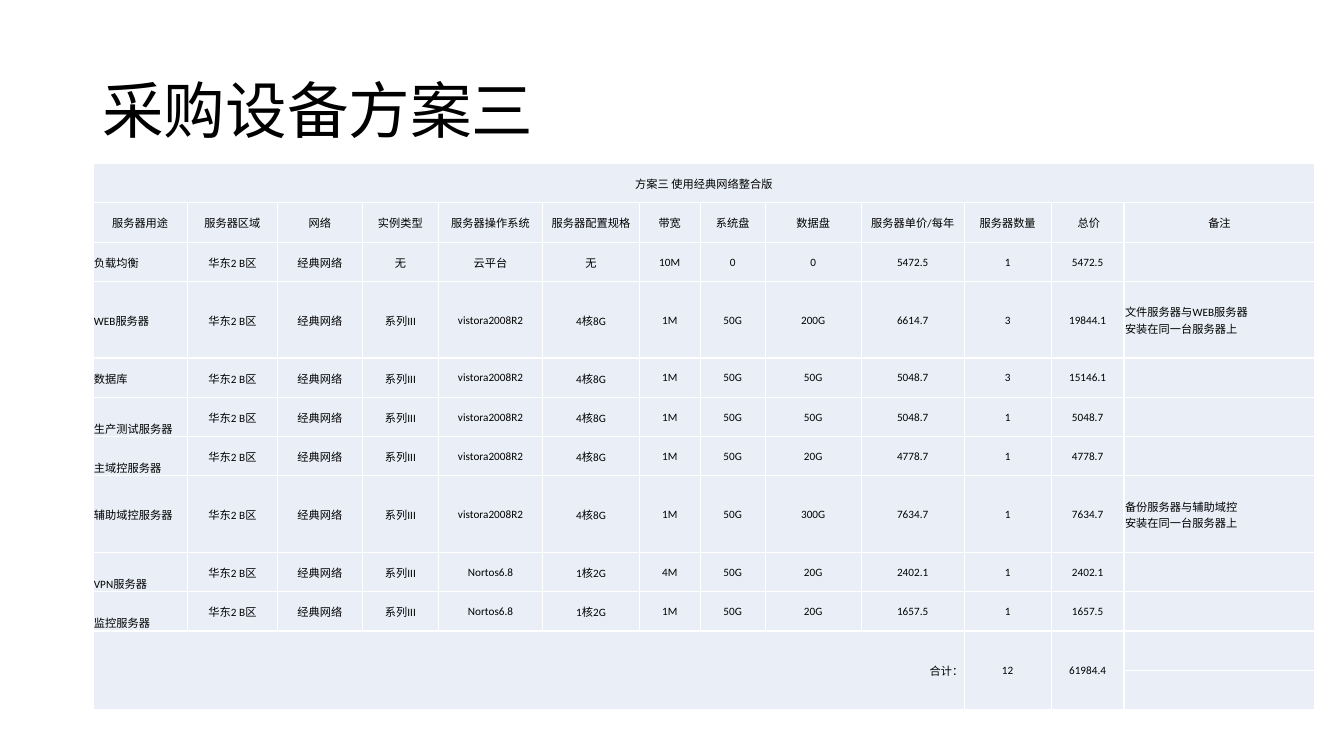
import pptx
import pptx.dml.color
import pptx.enum.text
import pptx.oxml
import pptx.oxml.ns
import pptx.util

Pt = pptx.util.Pt
ALIGN = pptx.enum.text.PP_ALIGN
ANCHOR = pptx.enum.text.MSO_ANCHOR
BLACK = pptx.dml.color.RGBColor(0x00, 0x00, 0x00)
WHITE = pptx.dml.color.RGBColor(0xFF, 0xFF, 0xFF)
PALE_BLUE = pptx.dml.color.RGBColor(0xEA, 0xEF, 0xF7)

COLUMN_WIDTHS = [67.5, 64.3, 60.7, 54.3, 74.6, 68.9, 43.6,
                 46.4, 68.6, 73.6, 62.1, 52.1, 136.4]
ROW_HEIGHT, NOTE_ROW_HEIGHT = 28.1, 54.6

HEADINGS = ["服务器用途", "服务器区域", "网络", "实例类型", "服务器操作系统",
            "服务器配置规格", "带宽", "系统盘", "数据盘", "服务器单价/每年",
            "服务器数量", " 总价", "备注"]
WEB_NOTE = "文件服务器与WEB服务器\n安装在同一台服务器上"
BACKUP_NOTE = "备份服务器与辅助域控\n安装在同一台服务器上"
DESKTOP_OS, LINUX_OS = "vistora2008R2", "Nortos6.8"

# Purpose, instance, system, configuration, bandwidth, system disk, data disk,
# yearly price, quantity, note
SERVERS = [
    ("负载均衡", "无", "云平台", "无", "10M", "0", "0", 5472.5, 1, ""),
    ("WEB服务器", "系列III", DESKTOP_OS, "4核8G", "1M", "50G", "200G", 6614.7, 3, WEB_NOTE),
    ("数据库", "系列III", DESKTOP_OS, "4核8G", "1M", "50G", "50G", 5048.7, 3, ""),
    ("生产测试服务器", "系列III", DESKTOP_OS, "4核8G", "1M", "50G", "50G", 5048.7, 1, ""),
    ("主域控服务器", "系列III", DESKTOP_OS, "4核8G", "1M", "50G", "20G", 4778.7, 1, ""),
    ("辅助域控服务器", "系列III", DESKTOP_OS, "4核8G", "1M", "50G", "300G", 7634.7, 1, BACKUP_NOTE),
    ("VPN服务器", "系列III", LINUX_OS, "1核2G", "4M", "50G", "20G", 2402.1, 1, ""),
    ("监控服务器", "系列III", LINUX_OS, "1核2G", "1M", "50G", "20G", 1657.5, 1, ""),
]
BOTTOM_ALIGNED = {"生产测试服务器", "主域控服务器", "VPN服务器", "监控服务器"}


def write(paragraph, text, size=8, align=ALIGN.CENTER, spacing=None):
    paragraph.text = text
    paragraph.alignment = align
    paragraph.line_spacing = spacing
    for run in paragraph.runs:
        run.font.name = "Calibri"
        run.font.size = Pt(size)
        run.font.bold = False
        run.font.color.rgb = BLACK


def style_cell(cell):
    """Give a cell its fill, margins and white borders."""
    cell.margin_left = cell.margin_right = cell.margin_top = Pt(0.7)
    cell.margin_bottom = Pt(0)
    cell.vertical_anchor = ANCHOR.MIDDLE
    properties = cell._tc.get_or_add_tcPr()
    for side in ("lnL", "lnR", "lnT", "lnB"):
        properties.append(pptx.oxml.parse_xml(
            f'<a:{side} {pptx.oxml.ns.nsdecls("a")} w="{Pt(1)}"><a:solidFill>'
            f'<a:srgbClr val="{WHITE}"/></a:solidFill></a:{side}>'))
    cell.fill.solid()
    cell.fill.fore_color.rgb = PALE_BLUE


presentation = pptx.Presentation()
presentation.slide_width = Pt(960)
presentation.slide_height = Pt(540)
slide = presentation.slides.add_slide(presentation.slide_layouts[6])

title = slide.shapes.add_textbox(Pt(66), Pt(28.8), Pt(828), Pt(104.4)).text_frame
title.word_wrap = True
title.vertical_anchor = ANCHOR.MIDDLE
write(title.paragraphs[0], "采购设备方案三", size=44, align=ALIGN.LEFT, spacing=0.9)

rows = [["方案三 使用经典网络整合版"] + [""] * 12, HEADINGS]
for purpose, instance, system, config, bandwidth, disk, data, price, count, note in SERVERS:
    rows.append([purpose, "华东2 B区", "经典网络", instance, system, config, bandwidth,
                 disk, data, str(price), str(count), f"{price * count:.1f}", note])
total_count = sum(server[8] for server in SERVERS)
total_price = sum(server[7] * server[8] for server in SERVERS)
rows.append(["合计："] + [""] * 9 + [str(total_count), f"{total_price:.1f}", ""])
rows.append([""] * 13)

heights = [NOTE_ROW_HEIGHT if "\n" in row[-1] else ROW_HEIGHT for row in rows]
plan = slide.shapes.add_table(len(rows), len(HEADINGS), Pt(66.4), Pt(116.8),
                              Pt(sum(COLUMN_WIDTHS)), Pt(sum(heights))).table
plan.first_row = False
plan.horz_banding = False
for column, width in zip(plan.columns, COLUMN_WIDTHS):
    column.width = Pt(width)

last_column = len(HEADINGS) - 1
total_row = len(rows) - 2
for r, row in enumerate(rows):
    plan.rows[r].height = Pt(heights[r])
    for c, text in enumerate(row):
        cell = plan.cell(r, c)
        style_cell(cell)
        if text in BOTTOM_ALIGNED:
            cell.vertical_anchor = ANCHOR.BOTTOM
        align = ALIGN.CENTER
        if 2 <= r < total_row and c in (0, last_column):
            align = ALIGN.LEFT
        elif r == total_row and c == 0:
            align = ALIGN.RIGHT
        if text:
            write(cell.text_frame.paragraphs[0], text, align=align)

plan.cell(0, 0).merge(plan.cell(0, last_column))
for first, last in ((0, 9), (10, 10), (11, 11)):
    plan.cell(total_row, first).merge(plan.cell(total_row + 1, last))

presentation.save("out.pptx")
